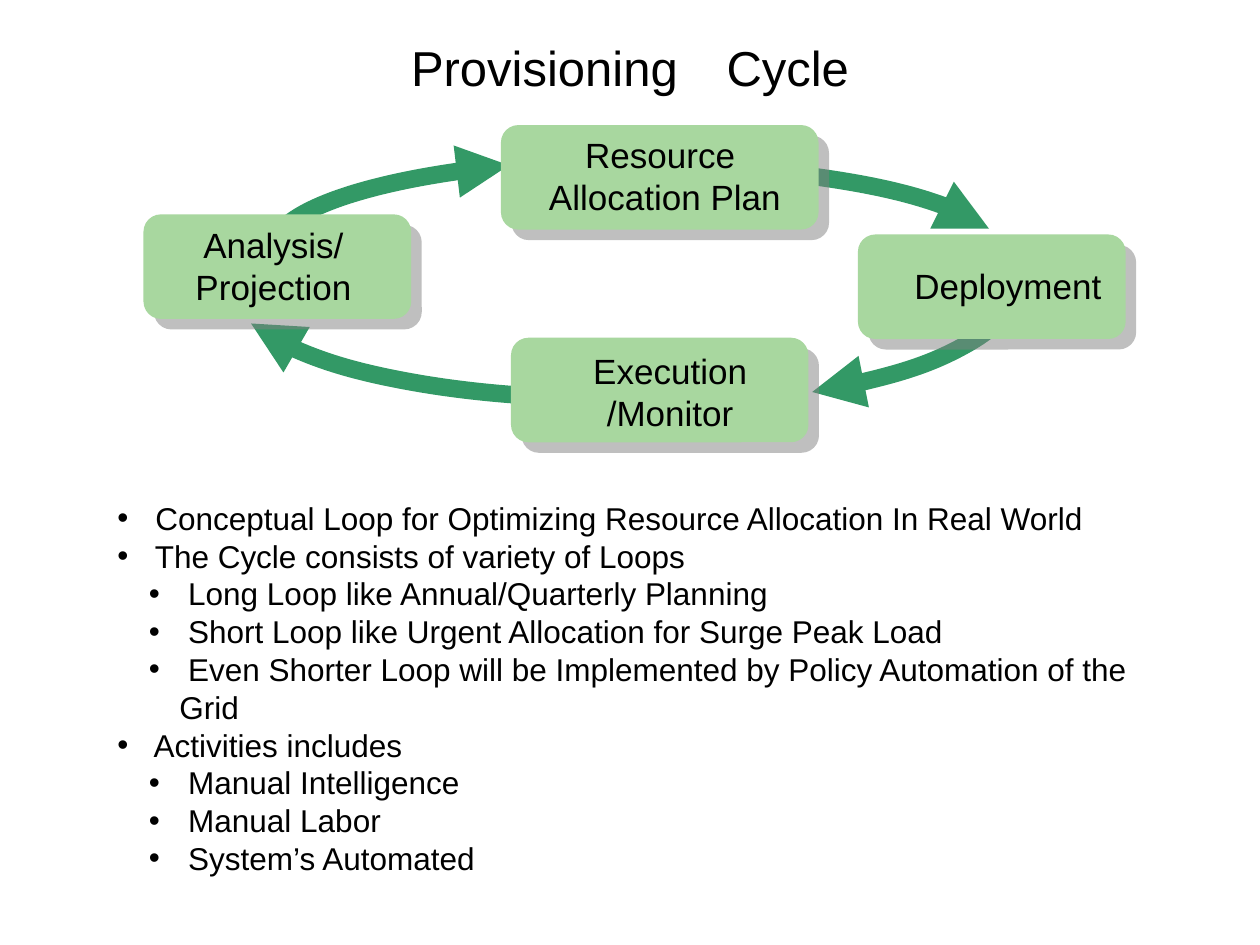
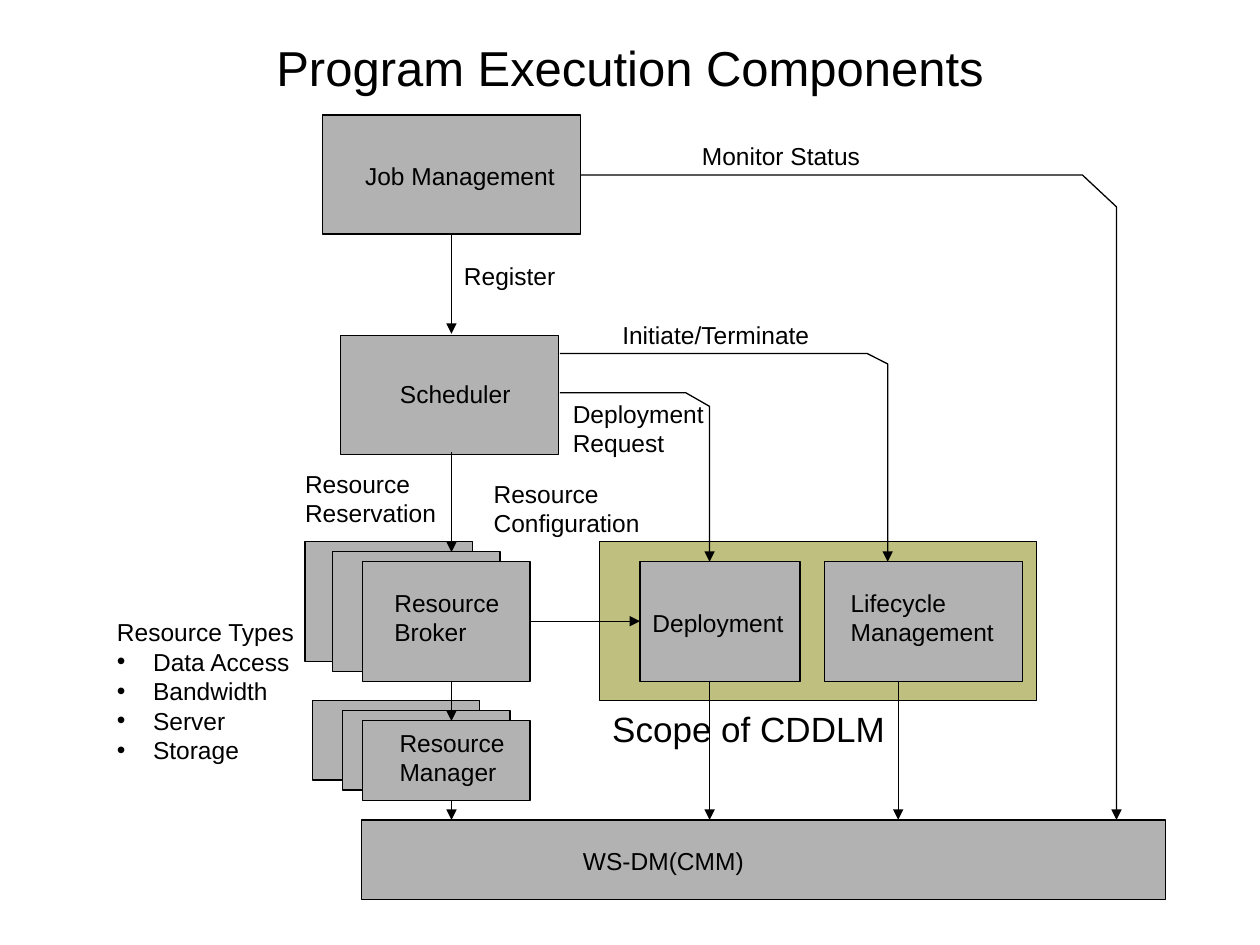
from math import atan2, cos, degrees, radians, sin

from lxml import etree
from pptx import Presentation
from pptx.dml.color import RGBColor
from pptx.enum.shapes import MSO_CONNECTOR, MSO_SHAPE
from pptx.enum.text import MSO_ANCHOR, PP_ALIGN
from pptx.oxml.ns import qn
from pptx.util import Pt

FONT = "Arial"
BLACK = "000000"
ARROW_GREEN = "339966"
STEP_GREEN = "A8D79F"
SHADOW_GREY = "808080"
BOX_GREY = "B2B2B2"
SCOPE_OLIVE = "808000"
BULLET_HANG = 17.5
LEVEL_INDENTS = [16.75, 35.5]
colour = RGBColor.from_string


def add_text(slide, lines, left, top, width, height, size=14,
             align=PP_ALIGN.LEFT, anchor=MSO_ANCHOR.TOP):
    """Add a text box; a line is a string, or (level, string) for a bullet."""
    frame = slide.shapes.add_textbox(Pt(left), Pt(top), Pt(width), Pt(height)).text_frame
    frame.word_wrap = True
    frame.vertical_anchor = anchor
    for index, line in enumerate(lines):
        paragraph = frame.paragraphs[0] if index == 0 else frame.add_paragraph()
        paragraph.alignment = align
        paragraph.line_spacing = Pt(size * 1.2)
        if isinstance(line, tuple):
            level, line = line
            line = f" {line}"
            paragraph.level = level
            properties = paragraph._p.get_or_add_pPr()
            properties.set("marL", str(Pt(LEVEL_INDENTS[level])))
            properties.set("indent", str(-Pt(BULLET_HANG)))
            etree.SubElement(properties, qn("a:buFont"), typeface=FONT)
            etree.SubElement(properties, qn("a:buChar"), char="•")
        paragraph.text = line
        paragraph.font.name = FONT
        paragraph.font.size = Pt(size)
        paragraph.font.color.rgb = colour(BLACK)


def style_arrow(arrow, line_colour, width):
    """Give a line, arc or open outline its colour, width and arrowhead."""
    arrow.line.color.rgb = colour(line_colour)
    arrow.line.width = Pt(width)
    properties = arrow._element.spPr
    etree.SubElement(properties.find(qn("a:ln")), qn("a:tailEnd"), type="triangle")
    etree.SubElement(properties, qn("a:effectLst"))


presentation = Presentation()
presentation.slide_width = Pt(720)
presentation.slide_height = Pt(540)

# Both slides with their titles
slides = []
for title in ["Provisioning　Cycle", "Program Execution Components"]:
    slide = presentation.slides.add_slide(presentation.slide_layouts[6])
    add_text(slide, [title], 54, 26, 612, 24, 28, PP_ALIGN.CENTER, MSO_ANCHOR.MIDDLE)
    slides.append(slide)
cycle_slide, components_slide = slides

# Cycle: arc arrows (left, top, height, start and end angle on the circle)
arc_width = 430.5
cycle_arcs = [
    (144.75, 94.25, 104.5, 298, 342.4),
    (150.5, 92.25, 139.5, 14, 62.8),
    (130.25, 97.25, 130.25, 101.4, 159.8),
    (155.5, 90.75, 104.5, 190.5, 248.2),
]
for left, top, height, *angles in cycle_arcs:
    arc = cycle_slide.shapes.add_shape(
        MSO_SHAPE.ARC, Pt(left), Pt(top), Pt(arc_width), Pt(height))
    for index, angle in enumerate(angles):
        # Flatten the circle's angle to the ellipse; 0.6 adjustment units a degree
        flattened = atan2(height * sin(radians(angle)), arc_width * cos(radians(angle)))
        arc.adjustments[index] = degrees(flattened) % 360 * 0.6
    arc.fill.background()
    style_arrow(arc, ARROW_GREEN, 10)

# Cycle: step boxes (left, top, width) with labels (left, top, width)
steps = [
    (["Resource ", "Allocation Plan"], (286.25, 71.5, 181.5), (296.5, 72.5, 167)),
    (["Analysis/", "Projection"], (82, 122.5, 153), (94.5, 124, 123.5)),
    (["Execution", "/Monitor"], (292, 193, 170), (322, 196.25, 122)),
    (["Deployment"], (490.25, 134, 153), (505.5, 147.5, 141)),
]
for lines, (left, top, width), (label_left, label_top, label_width) in steps:
    step_box = cycle_slide.shapes.add_shape(
        MSO_SHAPE.ROUNDED_RECTANGLE, Pt(left), Pt(top), Pt(width), Pt(59.75))
    step_box.fill.solid()
    step_box.fill.fore_color.rgb = colour(STEP_GREEN)
    step_box.line.fill.background()
    step_box.shadow.inherit = False
    effects = step_box._element.spPr.find(qn("a:effectLst"))
    shadow = etree.SubElement(effects, qn("a:outerShdw"), dist=str(Pt(8.5)),
                              dir=str(45 * 60000), algn="ctr", rotWithShape="0")
    shadow_colour = etree.SubElement(shadow, qn("a:srgbClr"), val=SHADOW_GREY)
    etree.SubElement(shadow_colour, qn("a:alpha"), val="50000")
    add_text(cycle_slide, lines, label_left, label_top, label_width,
             7.2 + 24 * len(lines), 20, PP_ALIGN.CENTER)

# Cycle: explanation
explanation = [
    (0, "Conceptual Loop for Optimizing Resource Allocation In Real World"),
    (0, "The Cycle consists of variety of Loops"),
    (1, "Long Loop like Annual/Quarterly Planning"),
    (1, "Short Loop like Urgent Allocation for Surge Peak Load"),
    (1, "Even Shorter Loop will be Implemented by Policy Automation of the Grid"),
    (0, "Activities includes"),
    (1, "Manual Intelligence"),
    (1, "Manual Labor"),
    (1, "System’s Automated"),
]
add_text(cycle_slide, explanation, 60, 281.5, 604, 223, 18)

# Components: boxes from back to front
scope = (342.75, 309.5, 249.75, 91)
manager_stack = [(left, top, 95.75, 45.5)
                 for left, top in [(178.5, 400.25), (195.75, 406), (207.25, 411.75)]]
broker_stack = [(left, top, 95.75, 68.5)
                for left, top in [(174.25, 309.5), (190, 315.25), (207.25, 321)]]
single_boxes = [
    (206.75, 468.5, 459.25, 45.5),   # WS-DM
    (184.25, 65.75, 147.5, 68),      # Job Management
    (194.5, 191.75, 124.5, 68),      # Scheduler
    (365.75, 321, 91.5, 68.5),       # Deployment
    (471.25, 321, 113.25, 68.5),     # Lifecycle Management
]
for bounds in [scope] + manager_stack + broker_stack + single_boxes:
    box = components_slide.shapes.add_shape(MSO_SHAPE.RECTANGLE, *map(Pt, bounds))
    box.fill.solid()
    box.fill.fore_color.rgb = colour(SCOPE_OLIVE if bounds == scope else BOX_GREY)
    box.line.color.rgb = colour(BLACK)
    box.line.width = Pt(0.75)
    box.shadow.inherit = False
    if bounds == scope:
        fill_colour = box._element.spPr.find(qn("a:solidFill"))[0]
        etree.SubElement(fill_colour, qn("a:alpha"), val="50000")

# Components: straight and bent arrows
flow_x, deployment_x, lifecycle_x, base_top = 258, 405.5, 513.25, 468.5
arrows = [
    [(flow_x, 134), (flow_x, 190.75)],
    [(flow_x, 258.5), (flow_x, 315.5)],
    [(flow_x, 389), (flow_x, 412)],
    [(flow_x, 457), (flow_x, base_top)],
    [(303, 355), (365.75, 355)],
    [(deployment_x, 389), (deployment_x, base_top)],
    [(lifecycle_x, 389), (lifecycle_x, base_top)],
    [(320, 224.5), (392, 224.5), (deployment_x, 232.25), (deployment_x, 321)],
    [(320, 202), (495.5, 202), (507.25, 208), (507.25, 321)],
    [(332, 100), (618.5, 100), (638, 118.25), (638, base_top)],
]
for points in arrows:
    points = [(Pt(x), Pt(y)) for x, y in points]
    if len(points) == 2:
        arrow = components_slide.shapes.add_connector(
            MSO_CONNECTOR.STRAIGHT, *points[0], *points[1])
    else:
        builder = components_slide.shapes.build_freeform(*points[0], scale=1.0)
        builder.add_line_segments(points[1:], close=False)
        arrow = builder.convert_to_shape()
        arrow.fill.background()
    style_arrow(arrow, BLACK, 0.75)

# Components: labels (left, top, width, height)
labels = [
    (["Job Management"], (201.5, 88.75, 132, 24.5)),
    (["WS-DM(CMM)"], (326, 479.75, 167, 24.5)),
    (["Resource Broker"], (218.25, 332.5, 79, 41)),
    (["Resource Manager"], (221.25, 412.5, 99.5, 41)),
    (["Deployment"], (365.75, 343.75, 102, 24.5)),
    (["Lifecycle Management"], (479, 332.5, 102, 41)),
    (["Resource Configuration"], (275, 270, 107.5, 41)),
    (["Scheduler"], (221.5, 213.25, 100, 24.5)),
    (["Resource", "Reservation"], (167.25, 264.25, 107.5, 41)),
    (["Deployment", "Request"], (320.25, 224.5, 107.5, 41)),
    (["Initiate/Terminate"], (348.5, 179.5, 132, 24.5)),
    (["Register"], (258, 145.5, 132, 24.5)),
    (["Monitor Status"], (394, 77.25, 132, 24.5)),
    (["Resource Types", (0, "Data Access"), (0, "Bandwidth"), (0, "Server"),
      (0, "Storage")], (59.75, 349.25, 130.5, 91.5)),
]
for lines, bounds in labels:
    add_text(components_slide, lines, *bounds)
add_text(components_slide, ["Scope of CDDLM"], 342.75, 400.5, 190, 31.5, 20)

presentation.save("out.pptx")
